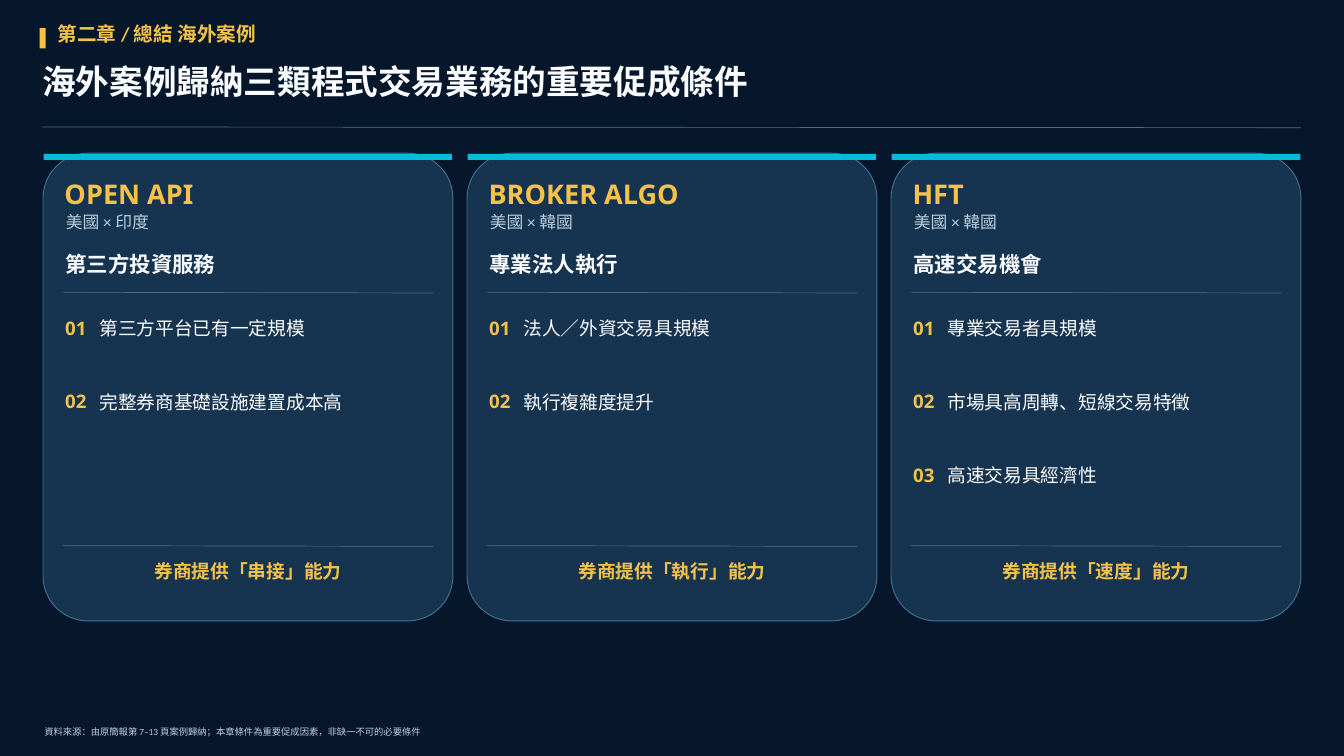
from dataclasses import dataclass

from lxml import etree
from pptx import Presentation
from pptx.dml.color import RGBColor
from pptx.enum import shapes, text
from pptx.oxml import ns
from pptx.util import Inches, Pt


@dataclass(frozen=True)
class Theme:
    background: str = "06172B"
    panel: str = "16334F"
    rule: str = "467192"
    cyan: str = "00BBDE"
    gold: str = "F6C247"
    white: str = "FAFCFF"
    muted: str = "BACEDF"
    body_font: str = "Calibri"
    label_font: str = "Noto Sans"
    title_size: int = 36
    card_size: int = 29
    heading_size: int = 23
    chapter_size: int = 21
    body_size: int = 20
    region_size: int = 18
    source_size: int = 10


THEME = Theme()
LINE_SPACING = 1.2

CARDS = [
    ("OPEN API", "美國 × 印度", "第三方投資服務",
     ["第三方平台已有一定規模", "完整券商基礎設施建置成本高"], "券商提供「串接」能力"),
    ("BROKER ALGO", "美國 × 韓國", "專業法人執行",
     ["法人／外資交易具規模", "執行複雜度提升"], "券商提供「執行」能力"),
    ("HFT", "美國 × 韓國", "高速交易機會",
     ["專業交易者具規模", "市場具高周轉、短線交易特徵", "高速交易具經濟性"],
     "券商提供「速度」能力"),
]


def color(value):
    return RGBColor.from_string(value)


def add_text(slide, box, content, size, fill, bold=False, font=THEME.body_font,
             align=text.PP_ALIGN.LEFT):
    frame = slide.shapes.add_textbox(*map(Inches, box)).text_frame
    frame_format = {
        "margin_left": 0, "margin_top": 0, "margin_right": 0, "margin_bottom": 0,
        "word_wrap": True, "auto_size": text.MSO_AUTO_SIZE.SHAPE_TO_FIT_TEXT,
    }
    for name, value in frame_format.items():
        setattr(frame, name, value)
    paragraph = frame.paragraphs[0]
    paragraph.alignment = align
    paragraph.line_spacing = Pt(size * LINE_SPACING)
    run = paragraph.add_run()
    run.text = content
    for name, value in {"name": font, "size": Pt(size), "bold": bold}.items():
        setattr(run.font, name, value)
    run.font.color.rgb = color(fill)


def add_block(slide, box, fill, kind=shapes.MSO_SHAPE.RECTANGLE, line=None):
    shape = slide.shapes.add_shape(kind, *map(Inches, box))
    shape.shadow.inherit = False
    shape.fill.solid()
    shape.fill.fore_color.rgb = color(fill)
    if line:
        shape.line.color.rgb = color(line)
        shape.line.width = Pt(1)
    else:
        shape.line.fill.background()
    return shape


def add_rule(slide, left, top, width):
    # Every rule drops by a hundredth of an inch along its length
    ends = map(Inches, (left, top, left + width, top + 0.01))
    rule = slide.shapes.add_connector(shapes.MSO_CONNECTOR.STRAIGHT, *ends)
    rule.line.color.rgb = color(THEME.rule)
    rule.line.width = Pt(0.75)
    etree.SubElement(rule.element.spPr, ns.qn("a:effectLst"))


def build_header(slide, left, top, width):
    add_block(slide, (left - 0.04, top + 0.1, 0.09, 0.3), THEME.gold)
    add_text(slide, (left + 0.23, top, 10, 0.47), "第二章 / 總結 海外案例",
             THEME.chapter_size, THEME.gold, bold=True)
    add_text(slide, (left, top + 0.59, width, 0.75),
             "海外案例歸納三類程式交易業務的重要促成條件",
             THEME.title_size, THEME.white, bold=True)
    add_rule(slide, left, top + 1.57, width)


def build_card(slide, box, card):
    name, regions, heading, conditions, role = card
    left, top, width, height = box
    inset = left + 0.33
    inner_width = width - 0.66

    # Panel and top band
    panel = add_block(slide, box, THEME.panel,
                      shapes.MSO_SHAPE.ROUNDED_RECTANGLE, THEME.rule)
    panel.adjustments[0] = 0.11
    add_block(slide, (left + 0.01, top + 0.01, width - 0.02, 0.09), THEME.cyan)

    # Heading
    add_text(slide, (inset - 0.01, top + 0.36, inner_width, 0.5), name,
             THEME.card_size, THEME.gold, bold=True, font=THEME.label_font)
    add_text(slide, (inset + 0.01, top + 0.87, inner_width, 0.41), regions,
             THEME.region_size, THEME.muted)
    add_text(slide, (inset, top + 1.45, inner_width, 0.47), heading,
             THEME.heading_size, THEME.white, bold=True)
    add_rule(slide, left + 0.3, top + 2.07, width - 0.6)

    # Numbered conditions
    for index, condition in enumerate(conditions):
        row_top = top + 2.43 + index * 1.095
        add_text(slide, (inset, row_top, 0.4, 0.43), f"{index + 1:02}",
                 THEME.body_size, THEME.gold, bold=True, font=THEME.label_font)
        add_text(slide, (inset + 0.51, row_top + 0.01, 4.93, 0.43), condition,
                 THEME.body_size, THEME.white)

    # Broker role
    add_rule(slide, left + 0.29, top + height - 1.12, width - 0.58)
    add_text(slide, (left + 0.24, top + height - 0.91, width - 0.48, 0.48), role,
             THEME.body_size, THEME.gold, bold=True, align=text.PP_ALIGN.CENTER)


def build_cards(slide, left, top, width, height, gap=0.21):
    card_width = (width - gap * (len(CARDS) - 1)) / len(CARDS)
    for index, card in enumerate(CARDS):
        card_left = left + index * (card_width + gap)
        build_card(slide, (card_left, top, card_width, height), card)


def build_source(slide, left, top, width):
    add_text(slide, (left, top, width, 0.22),
             "資料來源：由原簡報第 7–13 頁案例歸納；本章條件為重要促成因素，非缺一不可的必要條件",
             THEME.source_size, THEME.muted)


def main():
    presentation = Presentation()
    presentation.slide_width = Inches(20)
    presentation.slide_height = Inches(11.25)
    slide = presentation.slides.add_slide(presentation.slide_layouts[6])
    slide.background.fill.solid()
    slide.background.fill.fore_color.rgb = color(THEME.background)

    build_header(slide, 0.63, 0.32, 18.73)
    build_cards(slide, 0.64, 2.28, 18.72, 6.96)
    build_source(slide, 0.66, 10.81, 18.55)
    presentation.save("out.pptx")


if __name__ == "__main__":
    main()
